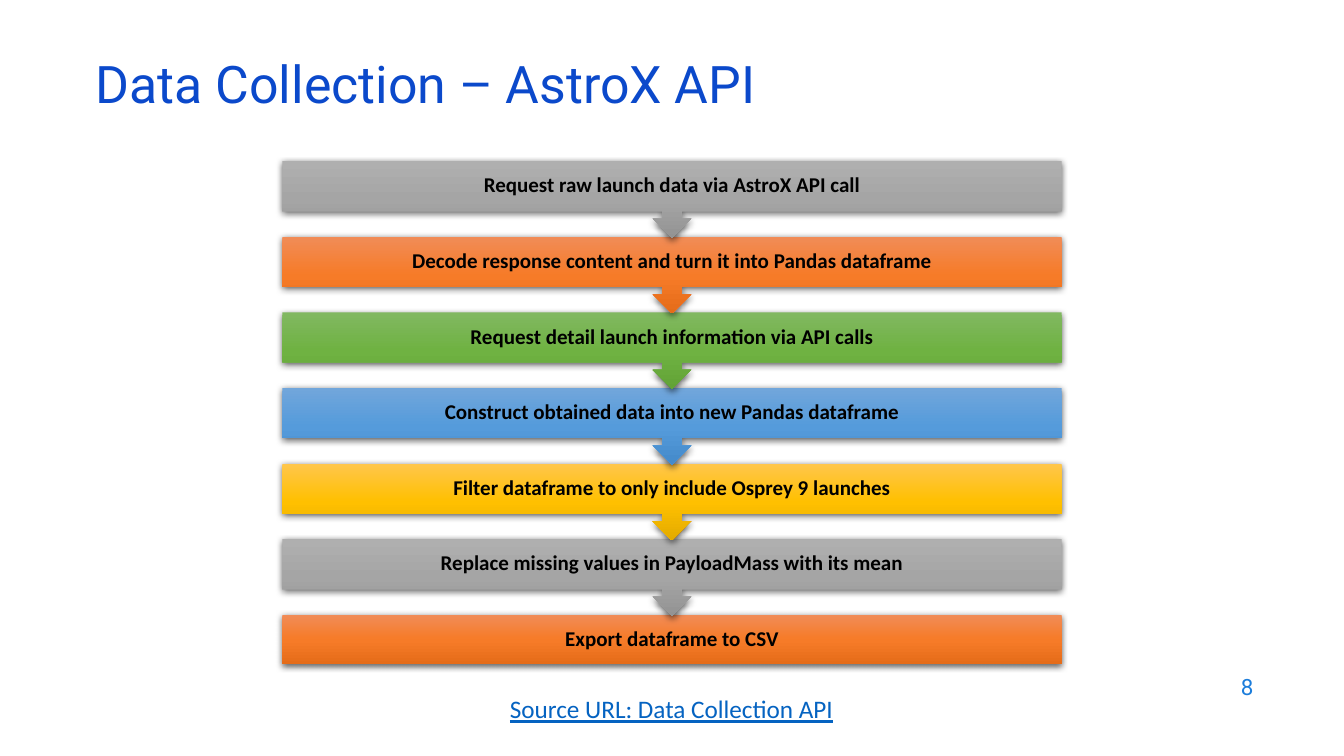
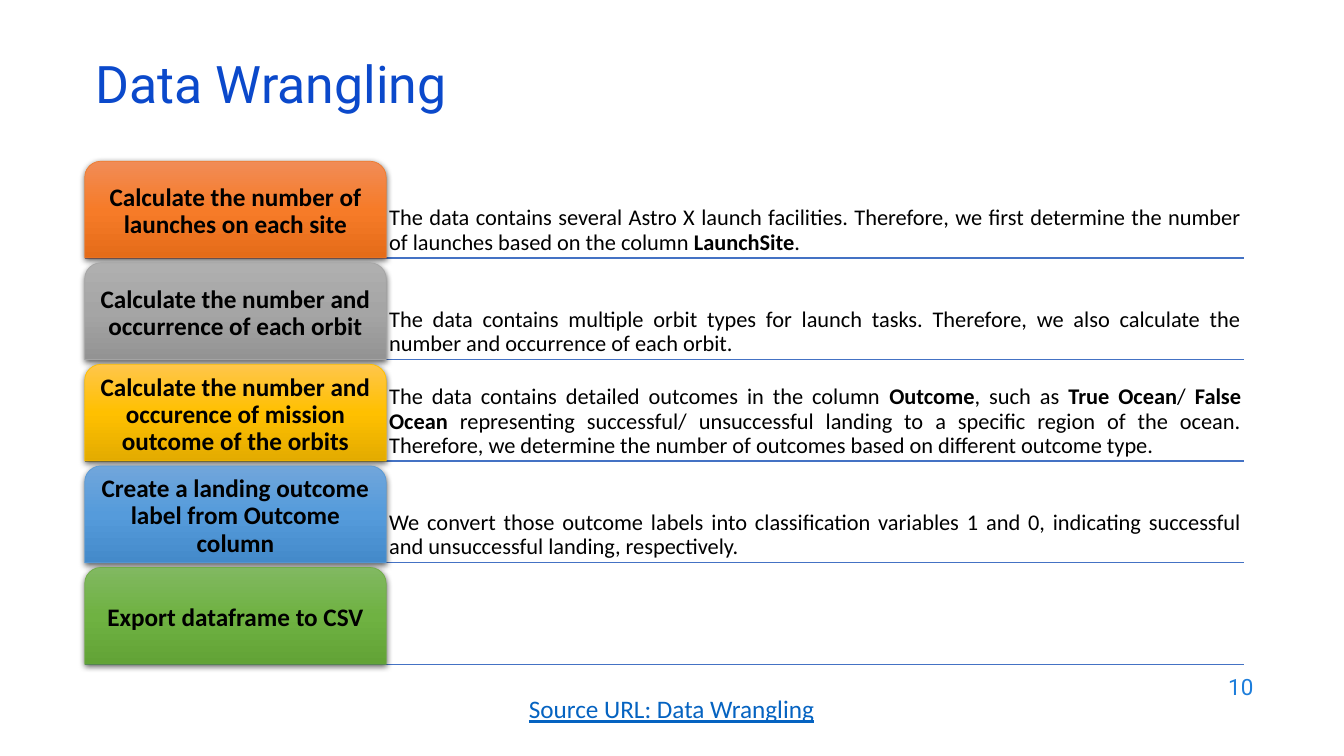
from pptx import Presentation
from pptx.dml.color import RGBColor
from pptx.enum.shapes import MSO_CONNECTOR, MSO_SHAPE
from pptx.enum.text import MSO_ANCHOR, MSO_AUTO_SIZE, PP_ALIGN
from pptx.oxml import parse_xml
from pptx.oxml.ns import nsdecls
from pptx.util import Pt

SCALE = 9144
INK = {"title": "0B49CB", "page": "1C7DDB", "link": "0563C1",
       "text": "000000", "rule": "4472C4"}
TONES = {
    "gray": ("AFAFAF", "A5A5A5", "939393", "A5A5A5"),
    "orange": ("F18C57", "F67B28", "E56C19", "ED7D31"),
    "green": ("81B861", "6FB242", "62A336", "70AD47"),
    "blue": ("71A6DB", "559BDB", "448ACA", "5B9BD5"),
    "gold": ("FFC64B", "FFC000", "E3AB00", "FFC000"),
}
STEPS = [
    ("gray", "Request raw launch data via AstroX API call"),
    ("orange", "Decode response content and turn it into Pandas dataframe"),
    ("green", "Request detail launch information via API calls"),
    ("blue", "Construct obtained data into new Pandas dataframe"),
    ("gold", "Filter dataframe to only include Osprey 9 launches"),
    ("gray", "Replace missing values in PayloadMass with its mean"),
    ("orange", "Export dataframe to CSV"),
]
TASKS = [
    ("orange", "Calculate the number of launches on each site",
     "The data contains several Astro X launch facilities. Therefore, we first "
     "determine the number of launches based on the column *LaunchSite*."),
    ("gray", "Calculate the number and occurrence of each orbit",
     "The data contains multiple orbit types for launch tasks. Therefore, we "
     "also calculate the number and occurrence of each orbit."),
    ("gold", "Calculate the number and occurence of mission outcome of the orbits",
     "The data contains detailed outcomes in the column *Outcome*, such as "
     "*True Ocean*/ *False Ocean *representing successful/ unsuccessful landing "
     "to a specific region of the ocean. Therefore, we determine the number of "
     "outcomes based on different outcome type."),
    ("blue", "Create a landing outcome label from Outcome column",
     "We convert those outcome labels into classification variables 1 and 0, "
     "indicating successful and unsuccessful landing, respectively."),
    ("green", "Export dataframe to CSV", ""),
]


def px(*nums):
    """Turn px lengths into EMU."""
    return [round(n * SCALE) for n in nums]


def style(shape, text, size, ink="text", font="Calibri", align=PP_ALIGN.CENTER,
          anchor=MSO_ANCHOR.MIDDLE, inset=None, space=None, bold=False):
    """Write text in a shape; parts between asterisks are bold."""
    frame = shape.text_frame
    frame.word_wrap = True
    frame.auto_size = MSO_AUTO_SIZE.NONE
    frame.vertical_anchor = anchor
    if inset is not None:
        gap = px(inset)[0]
        frame.margin_left = frame.margin_right = gap
        frame.margin_top = frame.margin_bottom = gap
    para = frame.paragraphs[0]
    para.alignment = align
    if space:
        para.line_spacing = space
    for i, part in enumerate(text.split("*")):
        run = para.add_run()
        run.text = part
        run.font.size = Pt(size)
        run.font.name = font
        run.font.bold = bold or i % 2 == 1
        run.font.color.rgb = RGBColor.from_string(INK[ink])
    return para


def label(slide, box, text, size, **looks):
    """Add a text box."""
    return style(slide.shapes.add_textbox(*px(*box)), text, size, **looks)


def block(slide, kind, box, tone, edge=False):
    """Add a shape with a gradient and a soft shadow."""
    shape = slide.shapes.add_shape(kind, *px(*box))
    *stops, rim = TONES[tone]
    if edge:
        shape.line.color.rgb = RGBColor.from_string(rim)
        shape.line.width = Pt(0.5)
    else:
        shape.line.fill.background()
    shape.shadow.inherit = False
    marks = "".join(f'<a:gs pos="{i * 50000}"><a:srgbClr val="{c}"/></a:gs>'
                    for i, c in enumerate(stops))
    props = shape._element.spPr
    props.insert(2, parse_xml(
        f'<a:gradFill {nsdecls("a")} rotWithShape="1"><a:gsLst>{marks}</a:gsLst>'
        '<a:lin ang="5400000" scaled="0"/></a:gradFill>'))
    props[-1].append(parse_xml(
        f'<a:outerShdw {nsdecls("a")} blurRad="57150" dist="19050" dir="5400000" '
        'algn="ctr" rotWithShape="0"><a:srgbClr val="000000">'
        '<a:alpha val="63000"/></a:srgbClr></a:outerShdw>'))
    return shape


def page(deck, title, number, link):
    """Add a slide with title, page number and link line."""
    slide = deck.slides.add_slide(deck.slide_layouts[5])
    head = slide.shapes.title
    head.left, head.top, head.width, head.height = px(85, 60, 1150, 60)
    style(head, title, 37, ink="title", font="Roboto", align=PP_ALIGN.LEFT, space=0.7)
    label(slide, (953, 659, 300, 44), number, 16, ink="page", font="Roboto",
          align=PP_ALIGN.RIGHT)
    para = label(slide, (489, 683, 354, 40), link, 18, ink="link",
                 anchor=MSO_ANCHOR.TOP)
    para.runs[0].font.underline = True
    return slide


def flow(slide, box, steps):
    """Stack the steps in a box, each pointing down to the next."""
    left, top, width, height = box
    bar = 49
    pitch = (height - bar) / (len(steps) - 1)
    last = len(steps) - 1
    for i, (tone, text) in reversed(list(enumerate(steps))):
        kind = MSO_SHAPE.RECTANGLE if i == last else MSO_SHAPE.DOWN_ARROW_CALLOUT
        tall = bar if i == last else pitch + 1
        shape = block(slide, kind, (left, top + i * pitch, width, tall), tone)
        style(shape, text, 15, inset=12, space=0.9, bold=True)


def table(slide, box, tasks):
    """List the tasks in a box: a tab, its note and a rule below."""
    left, top, width, height = box
    tab, row = 299, 96
    pitch = (height - row) / (len(tasks) - 1)
    tops = [top + i * pitch for i in range(len(tasks))]
    for y in tops:
        rule = slide.shapes.add_connector(
            MSO_CONNECTOR.STRAIGHT, *px(left, y + row, left + width, y + row))
        rule.line.color.rgb = RGBColor.from_string(INK["rule"])
        rule.line.width = Pt(1)
        rule._element.spPr.append(parse_xml(f'<a:effectLst {nsdecls("a")}/>'))
    for y, (tone, name, note) in zip(tops, tasks):
        if note:
            label(slide, (left + tab, y, width - tab, row), note, 16,
                  align=PP_ALIGN.JUSTIFY, anchor=MSO_ANCHOR.BOTTOM, inset=3, space=0.9)
        shape = block(slide, MSO_SHAPE.ROUND_2_SAME_RECTANGLE,
                      (left, y, tab, row), tone, edge=True)
        style(shape, name, 18, inset=4, space=0.9, bold=True)


def main():
    """Build and save the deck."""
    deck = Presentation()
    deck.slide_width, deck.slide_height = px(1333, 750)
    first = page(deck, "Data Collection – AstroX API", "8",
                 "Source URL: Data Collection API")
    flow(first, (280, 160, 773, 499), STEPS)
    second = page(deck, "Data Wrangling", "10", "Source URL: Data Wrangling")
    table(second, (84, 160, 1150, 499), TASKS)
    deck.save("out.pptx")


if __name__ == "__main__":
    main()
